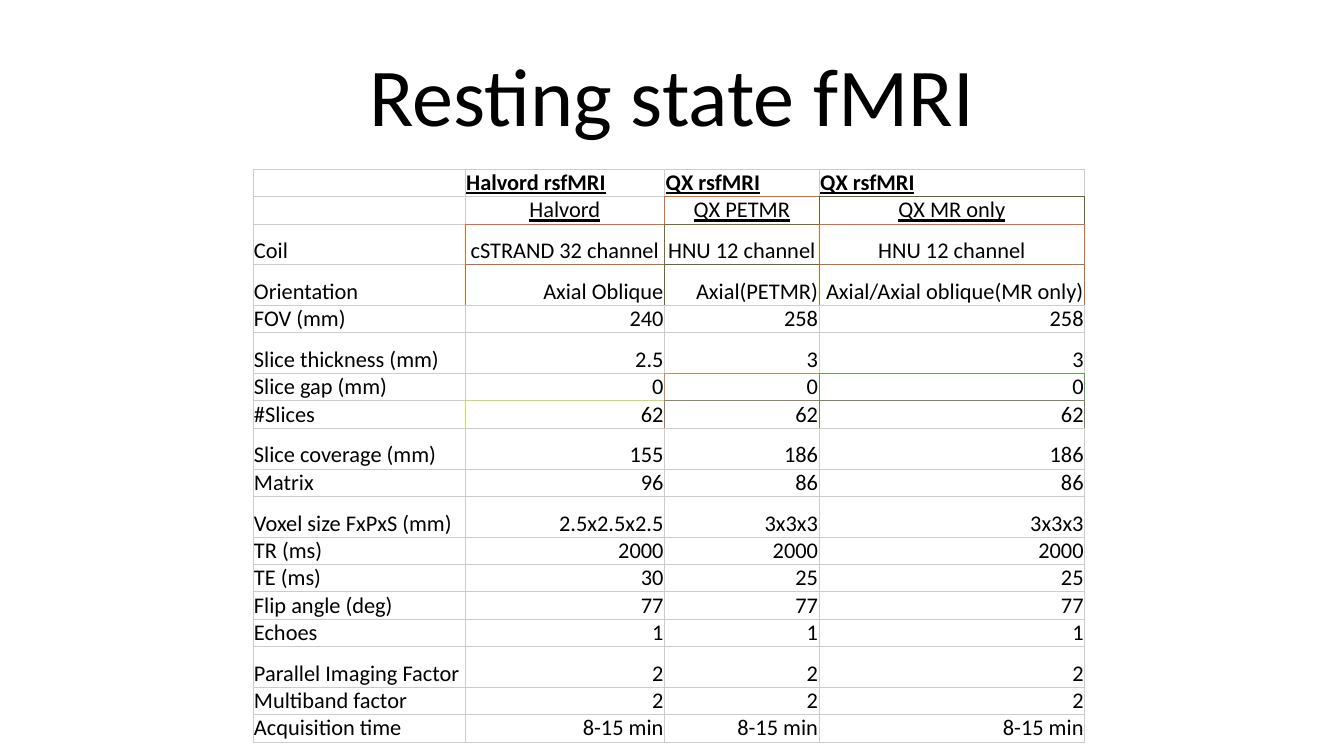
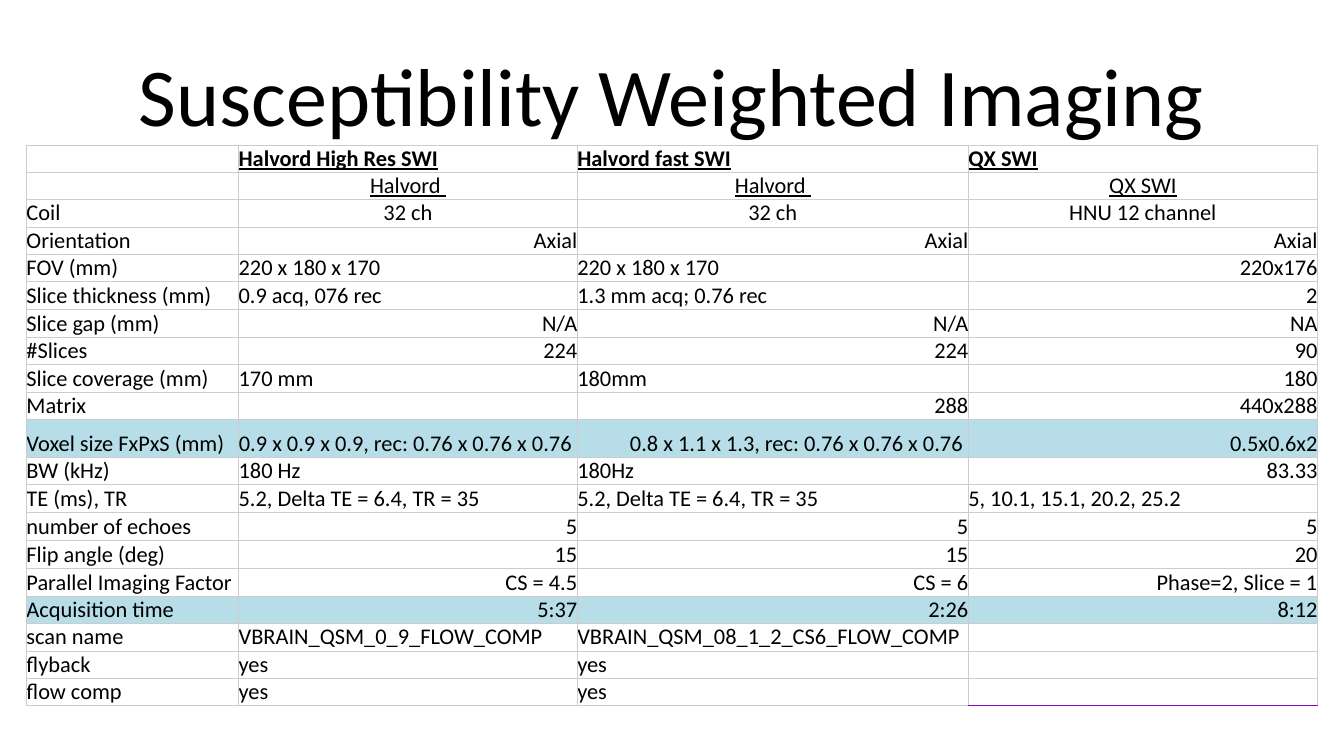
"""Build two slides of MRI protocol tables."""
from dataclasses import dataclass

from lxml.etree import SubElement
from pptx import Presentation
from pptx.dml.color import RGBColor
from pptx.enum.text import MSO_ANCHOR, PP_ALIGN
from pptx.oxml.ns import qn
from pptx.util import Cm, Pt


@dataclass(frozen=True)
class Theme:
    font: str = "Calibri"
    text: str = "000000"
    grid: str = "CCCCCC"
    highlight: str = "B7DEE8"
    title_size: int = 44
    cell_size: int = 12
    grid_width: float = 0.5
    row_height: float = 0.51


THEME = Theme()

RESTING_STATE = {
    "title": "Resting state fMRI",
    "left": 4.78,
    "top": 3.2,
    "inset": 0.02,
    "column_widths": (4.01, 3.77, 2.92, 5.02),
    "rows": [
        ("", "Halvord rsfMRI", "QX rsfMRI", "QX rsfMRI"),
        ("", "Halvord", "QX PETMR", "QX MR only"),
        ("Coil", "cSTRAND 32 channel", "HNU 12 channel", "HNU 12 channel"),
        ("Orientation", "Axial Oblique", "Axial(PETMR)", "Axial/Axial oblique(MR only)"),
        ("FOV (mm)", "240", "258", "258"),
        ("Slice thickness (mm)", "2.5", "3", "3"),
        ("Slice gap (mm)", "0", "0", "0"),
        ("#Slices", "62", "62", "62"),
        ("Slice coverage (mm)", "155", "186", "186"),
        ("Matrix", "96", "86", "86"),
        ("Voxel size FxPxS (mm)", "2.5x2.5x2.5", "3x3x3", "3x3x3"),
        ("TR (ms)", "2000", "2000", "2000"),
        ("TE (ms)", "30", "25", "25"),
        ("Flip angle (deg)", "77", "77", "77"),
        ("Echoes", "1", "1", "1"),
        ("Parallel Imaging Factor", "2", "2", "2"),
        ("Multiband factor", "2", "2", "2"),
        ("Acquisition time", "8-15 min", "8-15 min", "8-15 min"),
    ],
    "row_heights": dict.fromkeys(
        ("Coil", "Orientation", "Slice thickness (mm)", "Slice coverage (mm)",
         "Voxel size FxPxS (mm)", "Parallel Imaging Factor"), 0.77),
    "left_aligned": {},
    "highlighted": (),
    "edges": {
        (1, 2): "E0662F", (1, 3): "60672F",
        (2, 1): "E0682F", (2, 2): "80692F", (2, 3): "E0692F",
        (3, 1): "C86A2F", (3, 2): "606B2F", (3, 3): "C86B2F",
        (6, 2): "C88A60", (6, 3): "609E60",
        (7, 1): "C8DC60", (7, 2): "988061", (7, 3): "808361",
    },
}

SUSCEPTIBILITY = {
    "title": "Susceptibility Weighted Imaging",
    "left": 0.5,
    "top": 2.74,
    "inset": 0,
    "column_widths": (4.01, 6.4, 7.39, 6.6),
    "rows": [
        ("", "Halvord High Res SWI", "Halvord fast SWI", "QX SWI"),
        ("", "Halvord ", "Halvord ", "QX SWI"),
        ("Coil", "32 ch", "32 ch", "HNU 12 channel"),
        ("Orientation", "Axial", "Axial", "Axial"),
        ("FOV (mm)", "220 x 180 x 170", "220 x 180 x 170", "220x176"),
        ("Slice thickness (mm)", "0.9 acq, 076 rec", "1.3 mm acq; 0.76 rec", "2"),
        ("Slice gap (mm)", "N/A", "N/A", "NA"),
        ("#Slices", "224", "224", "90"),
        ("Slice coverage (mm)", "170 mm", "180mm", "180"),
        ("Matrix", "", "288", "440x288"),
        ("Voxel size FxPxS (mm)", "0.9 x 0.9 x 0.9, rec: 0.76 x 0.76 x 0.76 ",
         "0.8 x 1.1 x 1.3, rec: 0.76 x 0.76 x 0.76 ", "0.5x0.6x2"),
        ("BW (kHz)", "180 Hz", "180Hz", "83.33"),
        ("TE (ms), TR", "5.2, Delta TE = 6.4, TR = 35",
         "5.2, Delta TE = 6.4, TR = 35", "5, 10.1, 15.1, 20.2, 25.2"),
        ("number of echoes", "5", "5", "5"),
        ("Flip angle (deg)", "15", "15", "20"),
        ("Parallel Imaging Factor", "CS = 4.5", "CS = 6", "Phase=2, Slice = 1"),
        ("Acquisition time", "5:37", "2:26", "8:12"),
        ("scan name", "VBRAIN_QSM_0_9_FLOW_COMP", "VBRAIN_QSM_08_1_2_CS6_FLOW_COMP", ""),
        ("flyback", "yes", "yes", ""),
        ("flow comp", "yes", "yes", ""),
    ],
    "row_heights": {
        "Voxel size FxPxS (mm)": 0.71,
        **dict.fromkeys(("Slice thickness (mm)", "Slice coverage (mm)", "number of echoes",
                         "Flip angle (deg)", "Parallel Imaging Factor"), 0.53),
    },
    "left_aligned": {
        "FOV (mm)": 2, "Slice thickness (mm)": 2, "Slice coverage (mm)": 2, "BW (kHz)": 2,
        "TE (ms), TR": 3, "scan name": 3, "flyback": 3, "flow comp": 3,
    },
    "highlighted": ("Voxel size FxPxS (mm)", "Acquisition time"),
    "edges": {(20, 3): "800EC9"},
}


def format_run(run, size, bold=False, underline=False):
    """Apply the theme font to a run."""
    run.font.name = THEME.font
    run.font.size = Pt(size)
    run.font.color.rgb = RGBColor.from_string(THEME.text)
    run.font.bold = bold
    run.font.underline = underline


def add_title(slide, text):
    """Place and fill the title placeholder."""
    title = slide.shapes.title
    title.left, title.top, title.width, title.height = Cm(1.27), Cm(0.58), Cm(22.86), Cm(2.39)
    title.text_frame.text = text
    title.text_frame.vertical_anchor = MSO_ANCHOR.MIDDLE
    paragraph = title.text_frame.paragraphs[0]
    paragraph.alignment = PP_ALIGN.CENTER
    format_run(paragraph.runs[0], THEME.title_size)


def set_borders(cell, colors):
    """Draw the four cell borders from a side-to-colour mapping."""
    properties = cell._tc.get_or_add_tcPr()
    for side, color in colors.items():
        line = SubElement(properties, qn(f"a:ln{side}"), w=str(Pt(THEME.grid_width)))
        fill = SubElement(line, qn("a:solidFill"))
        SubElement(fill, qn("a:srgbClr"), val=color)


def border_colors(protocol, row, column):
    """Let each cell own its left and top edge and share its neighbours' edges."""
    def edge(edge_row, edge_column):
        return protocol["edges"].get((edge_row, edge_column), THEME.grid)

    last_column = len(protocol["column_widths"]) - 1
    return {
        "L": edge(row, column),
        "R": edge(row, min(column + 1, last_column)),
        "T": edge(row, column),
        "B": edge(row + 1, column),
    }


def cell_alignment(protocol, row, column):
    """Choose the alignment from the cell's place in the table."""
    label = protocol["rows"][row][0]
    if row == 0 or column <= protocol["left_aligned"].get(label, 0):
        return PP_ALIGN.LEFT
    return PP_ALIGN.CENTER if row <= 2 else PP_ALIGN.RIGHT


def fill_cell(cell, protocol, row, column):
    """Write and format one table cell."""
    text = protocol["rows"][row][column]
    cell.margin_left = cell.margin_right = Cm(protocol["inset"])
    cell.margin_top = cell.margin_bottom = 0
    cell.vertical_anchor = MSO_ANCHOR.BOTTOM
    set_borders(cell, border_colors(protocol, row, column))
    if protocol["rows"][row][0] in protocol["highlighted"]:
        cell.fill.solid()
        cell.fill.fore_color.rgb = RGBColor.from_string(THEME.highlight)
    else:
        cell.fill.background()
    paragraph = cell.text_frame.paragraphs[0]
    paragraph.alignment = cell_alignment(protocol, row, column)
    if text:
        paragraph.text = text
        format_run(paragraph.runs[0], THEME.cell_size, bold=row == 0, underline=row <= 1)
    else:
        SubElement(paragraph._p, qn("a:endParaRPr"), sz=str(THEME.cell_size * 100))


def add_protocol_table(slide, protocol):
    """Add the protocol table with its row and column sizes."""
    rows, widths = protocol["rows"], protocol["column_widths"]
    heights = [protocol["row_heights"].get(row[0], THEME.row_height) for row in rows]
    table = slide.shapes.add_table(
        len(rows), len(widths), Cm(protocol["left"]), Cm(protocol["top"]),
        Cm(sum(widths)), Cm(sum(heights))).table
    table.first_row = table.horz_banding = False
    for column, width in zip(table.columns, widths):
        column.width = Cm(width)
    for row, height in enumerate(heights):
        table.rows[row].height = Cm(height)
        for column in range(len(widths)):
            fill_cell(table.cell(row, column), protocol, row, column)


def main():
    """Build and save the presentation."""
    presentation = Presentation()
    presentation.slide_width, presentation.slide_height = Cm(25.4), Cm(14.29)
    for protocol in (RESTING_STATE, SUSCEPTIBILITY):
        slide = presentation.slides.add_slide(presentation.slide_layouts[5])
        add_title(slide, protocol["title"])
        add_protocol_table(slide, protocol)
    presentation.save("out.pptx")


if __name__ == "__main__":
    main()
